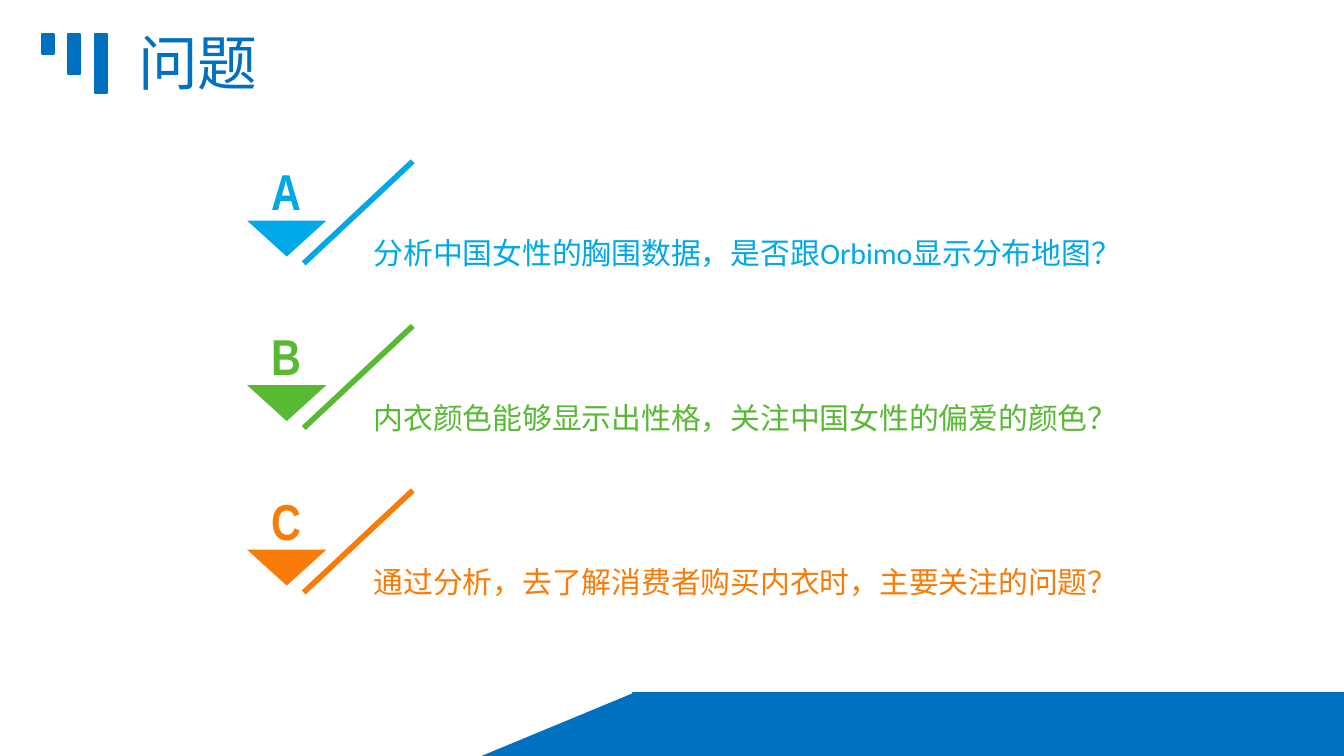
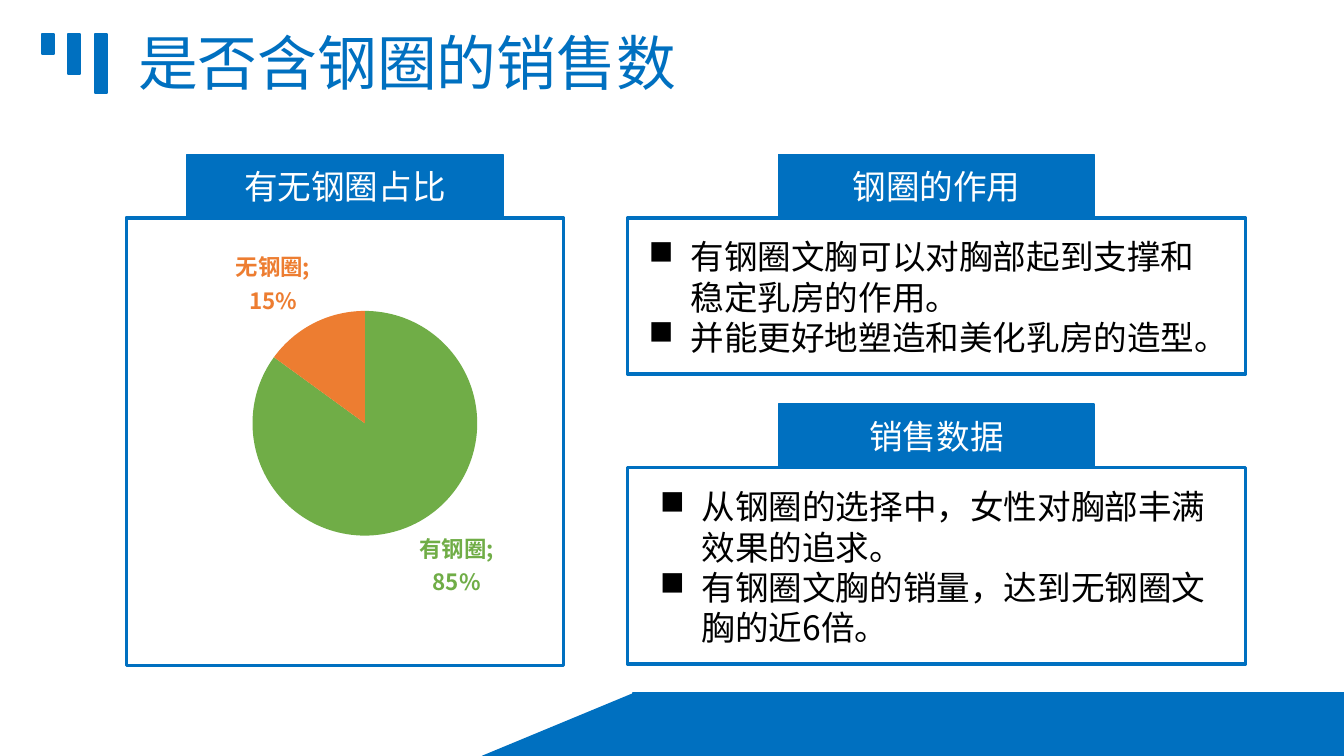
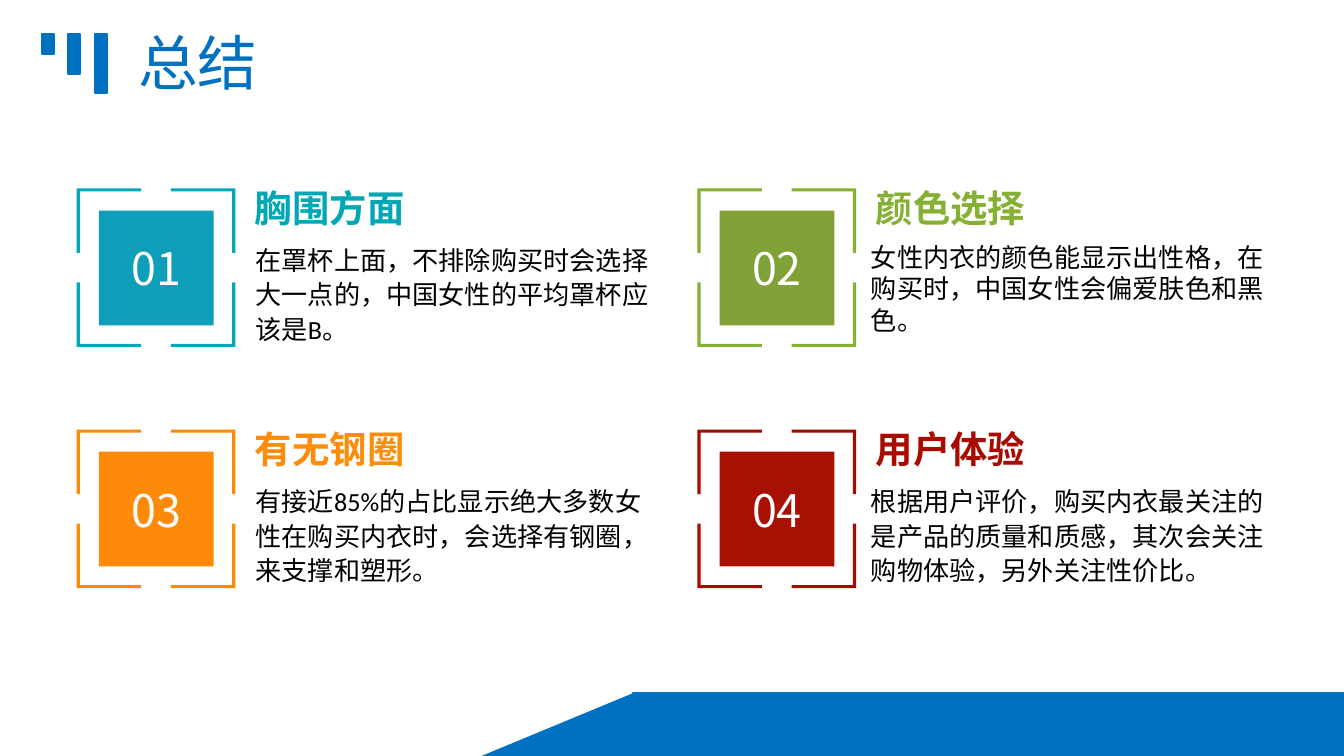
from dataclasses import dataclass

from lxml.etree import SubElement
from pptx import Presentation
from pptx.chart.data import CategoryChartData
from pptx.dml.color import RGBColor
from pptx.enum.chart import XL_CHART_TYPE, XL_LABEL_POSITION
from pptx.enum.shapes import MSO_CONNECTOR, MSO_SHAPE
from pptx.enum.text import MSO_ANCHOR, MSO_AUTO_SIZE, PP_ALIGN
from pptx.oxml import parse_xml
from pptx.oxml.ns import nsdecls, qn
from pptx.presentation import Presentation as Deck
from pptx.shapes.autoshape import Shape
from pptx.slide import Slide
from pptx.util import Cm, Pt


@dataclass(frozen=True)
class Theme:
    blue: str = "0070C0"
    white: str = "FFFFFF"
    black: str = "000000"
    pie_green: str = "70AD47"
    pie_orange: str = "ED7D31"
    cjk: str = "Noto Sans CJK SC"
    digits: str = "Noto Sans CJK JP"
    latin: str = "Calibri"
    letter: str = "Arial Narrow"
    title_size: int = 32
    letter_size: int = 27
    number_size: int = 24
    heading_size: int = 20
    panel_size: int = 18
    question_size: int = 16
    body_size: int = 14
    label_size: int = 12
    chart_size: int = 10


THEME = Theme()


@dataclass(frozen=True)
class Box:
    """A rectangle in centimetres."""
    x: float
    y: float
    w: float
    h: float

    def emu(self) -> tuple[Cm, Cm, Cm, Cm]:
        return Cm(self.x), Cm(self.y), Cm(self.w), Cm(self.h)


@dataclass(frozen=True)
class Style:
    size: int
    color: str
    font: str = THEME.cjk
    bold: bool = False


@dataclass(frozen=True)
class Question:
    letter: str
    text: str
    color: str
    width: float


@dataclass(frozen=True)
class Panel:
    heading: str
    frame: Box
    text_box: Box | None = None
    bullets: tuple[str, ...] = ()


@dataclass(frozen=True)
class Conclusion:
    heading: str
    text: str
    frame_color: str
    square_color: str
    heading_color: str
    heading_width: float
    body_font: str = THEME.latin
    line_spacing: float | None = 1.1


QUESTIONS = (
    Question("A", "分析中国女性的胸围数据，是否跟Orbimo显示分布地图？", "00A8E7", 14.25),
    Question("B", "内衣颜色能够显示出性格，关注中国女性的偏爱的颜色？", "58B933", 14.81),
    Question("C", "通过分析，去了解消费者购买内衣时，主要关注的问题？", "F87C07", 14.35),
)

PANELS = (
    Panel("有无钢圈占比", Box(2.39, 4.12, 8.26, 8.46)),
    Panel("钢圈的作用", Box(11.86, 4.12, 11.68, 2.95), Box(12.01, 4.34, 10.95, 2.57),
          ("有钢圈文胸可以对胸部起到支撑和稳定乳房的作用。",
           "并能更好地塑造和美化乳房的造型。")),
    Panel("销售数据", Box(11.86, 8.84, 11.68, 3.71), Box(12.22, 9.07, 10.95, 3.33),
          ("从钢圈的选择中，女性对胸部丰满效果的追求。",
           "有钢圈文胸的销量，达到无钢圈文胸的近6倍。")),
)

CONCLUSIONS = (
    Conclusion("胸围方面", "在罩杯上面，不排除购买时会选择大一点的，中国女性的平均罩杯应该是B。",
               "00A9B7", "0E9EB9", "01A7B4", 4.42),
    Conclusion("颜色选择", "女性内衣的颜色能显示出性格，在购买时，中国女性会偏爱肤色和黑色。",
               "86B034", "7FA135", "86B034", 3.63, THEME.cjk, None),
    Conclusion("有无钢圈", "有接近85%的占比显示绝大多数女性在购买内衣时，会选择有钢圈，来支撑和塑形。",
               "FC8A05", "FD8B09", "FC8C0A", 6.53),
    Conclusion("用户体验", "根据用户评价，购买内衣最关注的是产品的质量和质感，其次会关注购物体验，另外关注性价比。",
               "A20C02", "A91004", "A80C00", 3.56),
)


def rgb(color: str) -> RGBColor:
    return RGBColor.from_string(color)


def paint(sp: Shape, fill: str | None, line: str | None = None, weight: float = 1) -> None:
    sp.shadow.inherit = False
    if fill:
        sp.fill.solid()
        sp.fill.fore_color.rgb = rgb(fill)
    else:
        sp.fill.background()
    if line:
        sp.line.color.rgb = rgb(line)
        sp.line.width = Pt(weight)
    else:
        sp.line.fill.background()


def write(sp: Shape, lines: tuple[str, ...], style: Style,
          align: PP_ALIGN = PP_ALIGN.LEFT, anchor: MSO_ANCHOR = MSO_ANCHOR.TOP,
          inset: bool = True, spacing: float | None = None) -> None:
    tf = sp.text_frame
    tf.word_wrap = True
    tf.vertical_anchor = anchor
    if not inset:
        tf.margin_left = tf.margin_right = tf.margin_top = tf.margin_bottom = 0
    tf.text = "\n".join(lines)
    for p in tf.paragraphs:
        p.alignment = align
        if spacing:
            p.line_spacing = spacing
        for r in p.runs:
            r.font.size = Pt(style.size)
            r.font.bold = style.bold
            r.font.color.rgb = rgb(style.color)
            r.font.name = style.font
            SubElement(r.font._element, qn("a:ea"), typeface=THEME.cjk)


def add_bullets(sp: Shape) -> None:
    for p in sp.text_frame.paragraphs:
        p_pr = p._p.get_or_add_pPr()
        p_pr.set("marL", str(Cm(0.79)))
        p_pr.set("indent", str(-Cm(0.79)))
        SubElement(p_pr, qn("a:buChar"), char="■")


def add_titled_slide(prs: Deck, title: str, width: float) -> Slide:
    """Add a slide with the title, the three bars beside it and the bottom band."""
    s = prs.slides.add_slide(prs.slide_layouts[6])
    bars = s.shapes.add_group_shape()
    for i, height in enumerate((0.38, 0.76, 1.12)):
        bar = Box(0.79 + 0.5 * i, 0.64, 0.23, height)
        paint(bars.shapes.add_shape(MSO_SHAPE.RECTANGLE, *bar.emu()), THEME.blue, THEME.blue)

    band = s.shapes.add_group_shape()
    slope = band.shapes.add_shape(MSO_SHAPE.RIGHT_TRIANGLE, *Box(9.96, 12.27, 1.19, 2.87).emu())
    slope.rotation = 270
    strip = band.shapes.add_shape(MSO_SHAPE.RECTANGLE, *Box(11.96, 13.1, 13.44, 1.19).emu())
    for sp in (slope, strip):
        paint(sp, THEME.blue, THEME.blue)

    heading = s.shapes.add_textbox(*Box(2.36, 0.36, width, 1.63).emu())
    write(heading, (title,), Style(THEME.title_size, THEME.blue))
    heading.text_frame.word_wrap = False
    heading.text_frame.auto_size = MSO_AUTO_SIZE.SHAPE_TO_FIT_TEXT
    return s


def add_question(s: Slide, q: Question, top: float) -> None:
    slash = s.shapes.add_connector(MSO_CONNECTOR.STRAIGHT, Cm(7.8), Cm(top),
                                   Cm(5.74), Cm(top + 1.93))
    slash.line.color.rgb = rgb(q.color)
    slash.line.width = Pt(3)
    SubElement(slash._element.spPr, qn("a:effectLst"))

    y = top + 1.12
    pointer = s.shapes.build_freeform(Cm(4.67), Cm(y))
    pointer.add_line_segments([(Cm(6.17), Cm(y)), (Cm(5.42), Cm(y + 0.68))])
    paint(pointer.convert_to_shape(), q.color)

    text = s.shapes.add_textbox(*Box(6.81, top + 0.86, q.width, 1.73).emu())
    write(text, (q.text,), Style(THEME.question_size, q.color, THEME.latin),
          anchor=MSO_ANCHOR.MIDDLE)
    letter = s.shapes.add_textbox(*Box(4.62, top - 0.42, 1.57, 1.55).emu())
    write(letter, (q.letter,), Style(THEME.letter_size, q.color, THEME.letter, True),
          PP_ALIGN.CENTER, MSO_ANCHOR.BOTTOM, inset=False)


def add_share_pie(s: Slide) -> None:
    data = CategoryChartData(number_format="0%")
    data.categories = ("有钢圈", "无钢圈")
    data.add_series("Series 1", (0.85, 0.15))
    chart = s.shapes.add_chart(XL_CHART_TYPE.PIE, *Box(2.06, 4.34, 9.04, 8.05).emu(), data).chart
    chart.has_legend = False
    chart.has_title = False
    chart.font.size = Pt(THEME.chart_size)
    chart.font.name = THEME.latin
    chart.font.color.rgb = rgb(THEME.black)

    plot = chart.plots[0]
    plot.vary_by_categories = False
    series = plot.series[0]
    labels = series.data_labels
    labels.show_value = True
    labels.show_category_name = True
    labels.number_format = "0%"
    labels.number_format_is_linked = False
    labels.position = XL_LABEL_POSITION.OUTSIDE_END
    fonts = [(labels.font, THEME.pie_green)]
    for i, color in enumerate((THEME.pie_green, THEME.pie_orange)):
        point = series.points[i]
        point.format.fill.solid()
        point.format.fill.fore_color.rgb = rgb(color)
        point.data_label.position = XL_LABEL_POSITION.OUTSIDE_END
        fonts.append((point.data_label.font, color))
    for font, color in fonts:
        font.size = Pt(THEME.label_size)
        font.bold = True
        font.name = THEME.cjk
        font.color.rgb = rgb(color)
        SubElement(font._element, qn("a:ea"), typeface=THEME.cjk)
    for shown in series._element.xpath(".//c:dLbl/c:showCatName"):
        shown.set("val", "1")
    place_plot(chart._chartSpace.chart.plotArea, Box(0.3, 0.19, 0.47, 0.53))


def place_plot(plot_area, share: Box) -> None:
    """Fix the plot inside its chart, in shares of the chart's size."""
    for old in plot_area.findall(qn("c:layout")):
        plot_area.remove(old)
    plot_area.insert(0, parse_xml(
        f'<c:layout {nsdecls("c")}><c:manualLayout><c:layoutTarget val="inner"/>'
        '<c:xMode val="edge"/><c:yMode val="edge"/>'
        f'<c:x val="{share.x}"/><c:y val="{share.y}"/>'
        f'<c:w val="{share.w}"/><c:h val="{share.h}"/></c:manualLayout></c:layout>'))


def add_panel(s: Slide, panel: Panel) -> None:
    """Draw a frame with its heading tab centred on the top edge."""
    frame = panel.frame
    paint(s.shapes.add_shape(MSO_SHAPE.RECTANGLE, *frame.emu()), None, THEME.blue, 2)
    tab_w, tab_h = 5.97, 1.2
    tab = s.shapes.add_shape(MSO_SHAPE.RECTANGLE, *Box(
        frame.x + (frame.w - tab_w) / 2, frame.y - tab_h, tab_w, tab_h).emu())
    paint(tab, THEME.blue, THEME.blue)
    write(tab, (panel.heading,), Style(THEME.panel_size, THEME.white),
          PP_ALIGN.CENTER, MSO_ANCHOR.MIDDLE)
    if panel.text_box:
        text = s.shapes.add_textbox(*panel.text_box.emu())
        write(text, panel.bullets, Style(THEME.panel_size, THEME.black))
        text.text_frame.auto_size = MSO_AUTO_SIZE.SHAPE_TO_FIT_TEXT
        add_bullets(text)


def add_corner_frame(shapes, x: float, y: float, color: str) -> None:
    """Draw four mirrored corner brackets as one outline."""
    side, arm, thick = 3.0, 1.22, 0.06
    bracket = ((0, 0), (arm, 0), (arm, thick), (thick, thick), (thick, arm), (0, arm))
    builder = None
    for flip_x in (False, True):
        for flip_y in (False, True):
            points = [(Cm(x + (side - px if flip_x else px)),
                       Cm(y + (side - py if flip_y else py))) for px, py in bracket]
            if builder is None:
                builder = shapes.build_freeform(*points[0])
            else:
                builder.move_to(*points[0])
            builder.add_line_segments(points[1:])
    paint(builder.convert_to_shape(), color)


def add_conclusion(s: Slide, c: Conclusion, index: int) -> None:
    row, column = divmod(index, 2)
    x, y = 1.45 + 11.73 * column, 3.56 + 4.56 * row
    badge = s.shapes.add_group_shape()
    add_corner_frame(badge.shapes, x, y, c.frame_color)
    square = badge.shapes.add_shape(MSO_SHAPE.RECTANGLE,
                                    *Box(x + 0.42, y + 0.42, 2.17, 2.17).emu())
    paint(square, c.square_color)
    write(square, (f"{index + 1:02}",), Style(THEME.number_size, THEME.white, THEME.digits),
          PP_ALIGN.CENTER, MSO_ANCHOR.MIDDLE)

    heading = s.shapes.add_textbox(*Box(x + 3.37, y - 0.03, c.heading_width, 0.79).emu())
    write(heading, (c.heading,), Style(THEME.heading_size, c.heading_color, THEME.latin, True),
          anchor=MSO_ANCHOR.MIDDLE, inset=False)
    body = s.shapes.add_textbox(*Box((4.83, 16.46)[column], y + 1.0, 7.6, 1.9).emu())
    write(body, (c.text,), Style(THEME.body_size, THEME.black, c.body_font),
          inset=False, spacing=c.line_spacing)


def main() -> None:
    prs = Presentation()
    prs.slide_width, prs.slide_height = Cm(25.4), Cm(14.29)

    s = add_titled_slide(prs, "问题", 2.79)
    for i, question in enumerate(QUESTIONS):
        add_question(s, question, 3.05 + 3.11 * i)

    s = add_titled_slide(prs, "是否含钢圈的销售数", 10.77)
    add_share_pie(s)
    for panel in PANELS:
        add_panel(s, panel)

    s = add_titled_slide(prs, "总结", 2.79)
    for i, conclusion in enumerate(CONCLUSIONS):
        add_conclusion(s, conclusion, i)

    prs.save("out.pptx")


if __name__ == "__main__":
    main()
